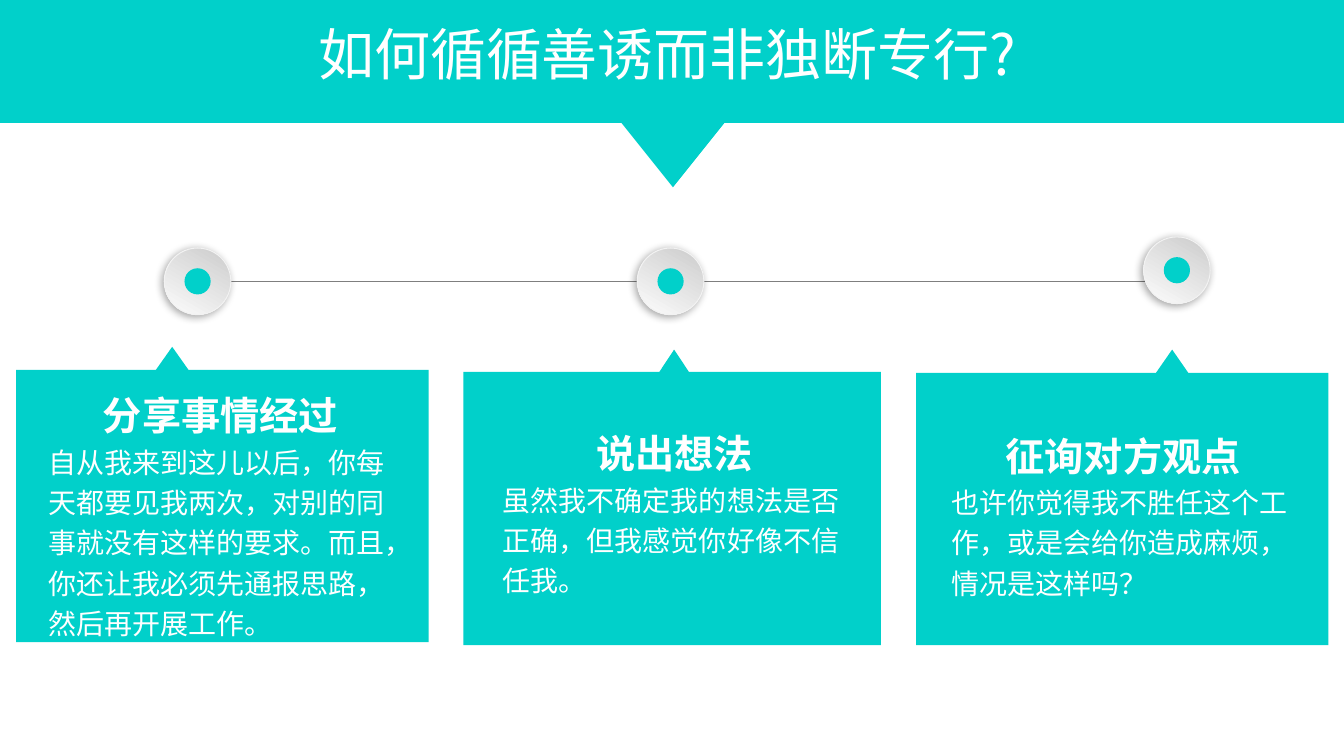
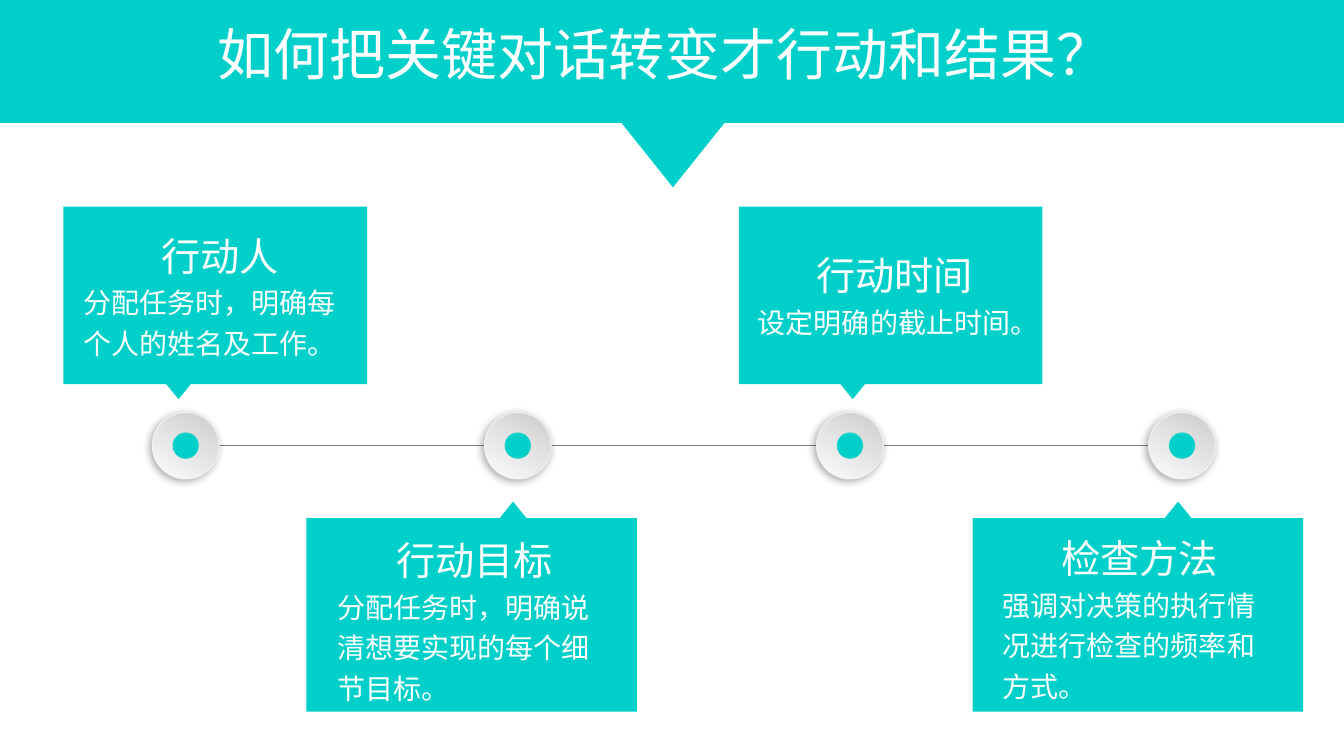
"""Build two timeline slides about persuasive conversations and follow-up."""
from dataclasses import dataclass
from functools import partial

from lxml.etree import SubElement
from pptx import Presentation
from pptx.dml.color import RGBColor
from pptx.enum.lang import MSO_LANGUAGE_ID
from pptx.enum.shapes import MSO_CONNECTOR, MSO_SHAPE
from pptx.enum.text import PP_ALIGN
from pptx.oxml.ns import qn
from pptx.util import Cm, Pt


@dataclass(frozen=True)
class Theme:
    accent: RGBColor = RGBColor(0x01, 0xD0, 0xCA)
    white: RGBColor = RGBColor(0xFF, 0xFF, 0xFF)
    axis: RGBColor = RGBColor(0x7F, 0x7F, 0x7F)
    rim: RGBColor = RGBColor(0xF2, 0xF2, 0xF2)
    node_dark: RGBColor = RGBColor(0xCC, 0xCC, 0xCC)
    node_light: RGBColor = RGBColor(0xFC, 0xFC, 0xFC)
    font: str = "Noto Sans CJK SC"
    title: int = 40
    heading: int = 28
    body: int = 20
    hairline: float = 0.75


THEME = Theme()
WIDTH, HEIGHT = 33.87, 19.05


@dataclass(frozen=True, kw_only=True)
class Callout:
    heading: str
    body: str
    left: float
    width: float
    tip_edge: float
    far_edge: float
    tip_x: float
    tip_y: float
    tip_half: float
    text_left: float
    text_top: float
    text_width: float
    bold: bool = False


def write(paragraph, text, size, bold=False, align=PP_ALIGN.LEFT, spacing=1.0):
    paragraph.alignment = align
    paragraph.line_spacing = spacing
    run = paragraph.add_run()
    run.text = text
    run.font.size = Pt(size)
    run.font.bold = bold
    run.font.color.rgb = THEME.white
    run.font.language_id = MSO_LANGUAGE_ID.SIMPLIFIED_CHINESE
    run.font.name = THEME.font
    east_asian = SubElement(run.font._element, qn("a:ea"))
    east_asian.set("typeface", THEME.font)


class Deck:
    def __init__(self, theme):
        self.theme = theme
        self.deck = Presentation()
        self.deck.slide_width = Cm(WIDTH)
        self.deck.slide_height = Cm(HEIGHT)
        self.slide = None

    def new_slide(self, title, title_left):
        self.slide = self.deck.slides.add_slide(self.deck.slide_layouts[6])
        self.solid(MSO_SHAPE.RECTANGLE, 0, 0, WIDTH, 3.1)
        self.solid(MSO_SHAPE.FLOWCHART_MERGE, 15.6, 3.02, 2.72, 1.7)
        frame = self.text_frame(title_left, 0.38, WIDTH - 2 * title_left, 1.96)
        frame.word_wrap = False
        write(frame.paragraphs[0], title, self.theme.title)

    def shape(self, kind, left, top, width, height):
        shape = self.slide.shapes.add_shape(
            kind, Cm(left), Cm(top), Cm(width), Cm(height))
        shape.shadow.inherit = False
        return shape

    def paint(self, shape):
        shape.shadow.inherit = False
        shape.fill.solid()
        shape.fill.fore_color.rgb = self.theme.accent
        shape.line.fill.background()

    def solid(self, kind, left, top, width, height):
        self.paint(self.shape(kind, left, top, width, height))

    def text_frame(self, left, top, width, height):
        box = self.slide.shapes.add_textbox(
            Cm(left), Cm(top), Cm(width), Cm(height))
        box.text_frame.word_wrap = True
        return box.text_frame

    def node(self, x, y, size=1.68, dot=0.66):
        disc = self.shape(MSO_SHAPE.OVAL, x - size / 2, y - size / 2, size, size)
        disc.fill.gradient()
        disc.fill.gradient_angle = 240
        stops = disc.fill.gradient_stops
        stops[0].color.rgb = self.theme.node_dark
        stops[1].color.rgb = self.theme.node_light
        disc.line.color.rgb = self.theme.rim
        disc.line.width = Pt(self.theme.hairline)
        effects = disc._element.spPr.find(qn("a:effectLst"))
        shadow = SubElement(effects, qn("a:outerShdw"), blurRad=str(Pt(6)),
                            dist=str(Pt(2)), dir=str(136 * 60000),
                            algn="ctr", rotWithShape="0")
        black = SubElement(shadow, qn("a:srgbClr"), val="000000")
        SubElement(black, qn("a:alpha"), val="34000")
        self.solid(MSO_SHAPE.OVAL, x - dot / 2, y - dot / 2, dot, dot)

    def timeline(self, y, centres):
        axis = self.slide.shapes.add_connector(
            MSO_CONNECTOR.STRAIGHT, Cm(centres[0][0]), Cm(y),
            Cm(centres[-1][0]), Cm(y))
        axis.line.color.rgb = self.theme.axis
        axis.line.width = Pt(self.theme.hairline)
        SubElement(axis._element.spPr, qn("a:effectLst"))
        for centre in centres:
            self.node(*centre)

    def callout(self, card):
        right = card.left + card.width
        outline = [
            (card.left, card.tip_edge),
            (card.tip_x - card.tip_half, card.tip_edge),
            (card.tip_x, card.tip_y),
            (card.tip_x + card.tip_half, card.tip_edge),
            (right, card.tip_edge),
            (right, card.far_edge),
            (card.left, card.far_edge),
        ]
        points = [(Cm(x), Cm(y)) for x, y in outline]
        builder = self.slide.shapes.build_freeform(*points[0])
        builder.add_line_segments(points[1:], close=True)
        self.paint(builder.convert_to_shape())
        bottom = max(card.tip_edge, card.far_edge)
        frame = self.text_frame(card.text_left, card.text_top,
                                card.text_width, bottom - card.text_top)
        write(frame.paragraphs[0], card.heading, self.theme.heading,
              bold=card.bold, align=PP_ALIGN.CENTER, spacing=1.2)
        write(frame.add_paragraph(), card.body, self.theme.body, spacing=1.2)

    def save(self):
        self.deck.save("out.pptx")


Step = partial(Callout, width=10.39, tip_edge=9.4, far_edge=16.26, tip_y=8.81,
               tip_half=0.41, text_width=9.17, bold=True)
UpperCard = partial(Callout, width=7.65, tip_edge=9.68, far_edge=5.21,
                    tip_y=10.06, tip_half=0.31, text_width=7.39)
LowerCard = partial(Callout, width=8.33, tip_edge=13.06, far_edge=17.93,
                    tip_y=12.64, tip_half=0.34, text_width=7.39)

PERSUASION = [
    Step(heading="分享事情经过",
         body="自从我来到这儿以后，你每天都要见我两次，对别的同事就没有这样的要求。"
              "而且，你还让我必须先通报思路，然后再开展工作。",
         left=0.41, tip_edge=9.32, far_edge=16.18, tip_x=4.34, tip_y=8.74,
         text_left=0.97, text_top=9.5),
    Step(heading="说出想法",
         body="虽然我不确定我的想法是否正确，但我感觉你好像不信任我。",
         left=11.68, width=10.52, tip_edge=9.37, tip_x=16.99, tip_half=0.37,
         text_left=12.42, text_top=10.46),
    Step(heading="征询对方观点",
         body="也许你觉得我不胜任这个工作，或是会给你造成麻烦，情况是这样吗？",
         left=23.09, tip_x=29.54, text_left=23.72, text_top=10.52),
]

ACTIONS = [
    UpperCard(heading="行动人", body="分配任务时，明确每个人的姓名及工作。",
              left=1.6, tip_x=4.5, text_left=1.85, text_top=5.49),
    LowerCard(heading="行动目标",
              body="分配任务时，明确说清想要实现的每个细节目标。",
              left=7.72, tip_x=12.93, text_left=8.26, text_top=13.16),
    UpperCard(heading="行动时间", body="设定明确的截止时间。",
              left=18.62, tip_x=21.49, text_left=18.85, text_top=5.97),
    LowerCard(heading="检查方法",
              body="强调对决策的执行情况进行检查的频率和方式。",
              left=24.51, tip_x=29.69, text_left=25.02, text_top=13.11),
]


def main():
    deck = Deck(THEME)

    deck.new_slide("如何循循善诱而非独断专行?", title_left=7.77)
    deck.timeline(7.09, [(4.98, 7.09), (16.9, 7.09), (29.66, 6.81)])
    for card in PERSUASION:
        deck.callout(card)

    deck.new_slide("如何把关键对话转变才行动和结果？", title_left=5.23)
    deck.timeline(11.23, [(4.68 + 8.37 * step, 11.23) for step in range(4)])
    for card in ACTIONS:
        deck.callout(card)

    deck.save()


if __name__ == "__main__":
    main()
